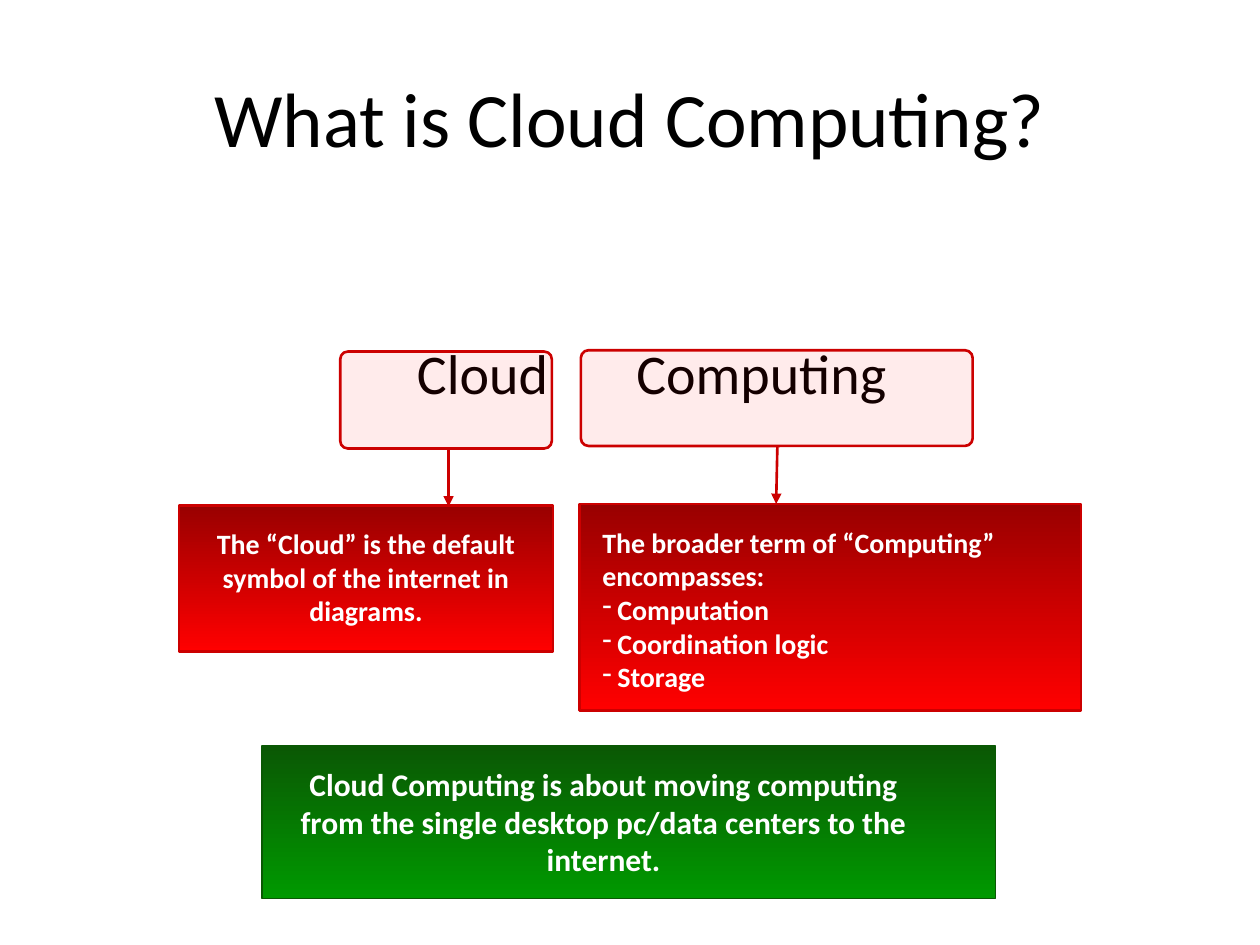
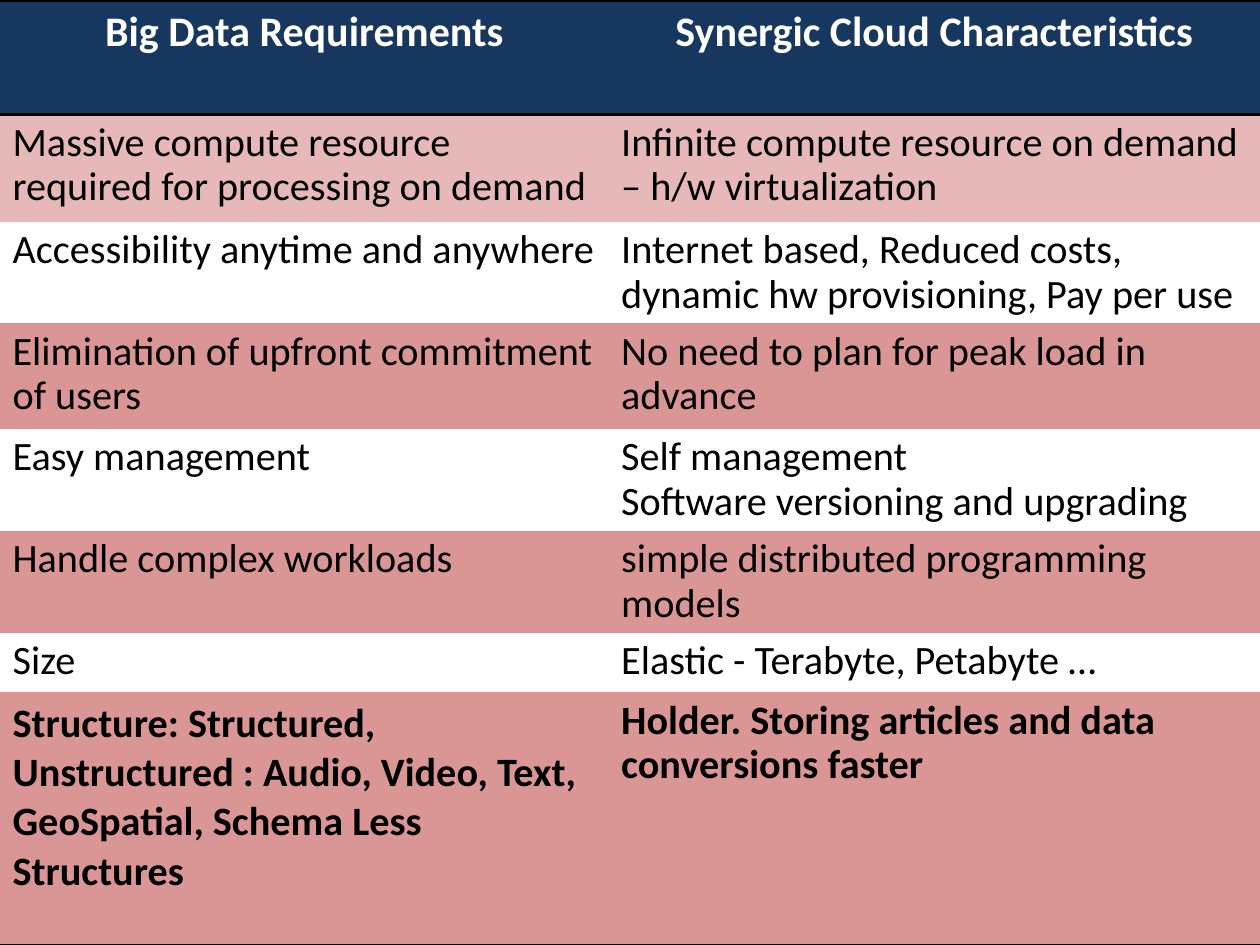
"""Build two slides on cloud computing and its fit with big data."""
from lxml.etree import SubElement
from pptx import Presentation
from pptx.dml.color import RGBColor
from pptx.enum.shapes import MSO_CONNECTOR as LINE, MSO_SHAPE as SHAPE
from pptx.enum.text import MSO_ANCHOR as ANCHOR, PP_ALIGN as ALIGN
from pptx.oxml.ns import qn
from pptx.util import Inches, Pt

COLORS = {
    "black": "000000", "white": "FFFFFF", "navy": "17375E",
    "pale": "E6B9B8", "rose": "D99694", "outline": "CC0000",
    "dark_red": "990000", "red": "FF0000",
    "dark_green": "0A5804", "green": "009900",
}
FONT = "Calibri"
TITLE = "What is Cloud Computing?"
TERMS = [
    {"word": "Cloud", "word_at": (3.31, 2.69, 1.3, 0.54),
     "frame": (2.7, 2.79, 1.68, 0.77), "arrow": (3.56, 3.55, 3.56, 4.02),
     "panel": (1.42, 4.01, 2.97, 1.16), "insets": (0.08, 0.17, 0.08, 0.17),
     "align": ALIGN.CENTER, "bullets": [],
     "lead": "The “Cloud” is the default symbol of the internet in diagrams."},
    {"word": "Computing", "word_at": (5.05, 2.69, 2.4, 0.54),
     "frame": (4.61, 2.78, 3.11, 0.76), "arrow": (6.17, 3.54, 6.16, 4),
     "panel": (4.6, 4, 3.98, 1.64), "insets": (0.18, 0.17, 0.18, 0.07),
     "align": ALIGN.LEFT,
     "bullets": ["Computation", "Coordination logic", "Storage"],
     "lead": "The broader term of “Computing” encompasses:"},
]
SUMMARY = ("Cloud Computing is about moving computing from the single desktop "
           "pc/data centers to the internet.")
COLUMN_WIDTHS = (4.83, 5.17)
ROWS = [
    (0.91, "navy", "Big Data Requirements", "Synergic Cloud Characteristics"),
    (0.85, "pale", "Massive compute resource required for processing on demand",
     "Infinite compute resource on demand – h/w virtualization"),
    (0.8, "white", "Accessibility anytime and anywhere",
     "Internet based, Reduced costs, dynamic hw provisioning, Pay per use"),
    (0.84, "rose", "Elimination of upfront commitment of users",
     "No need to plan for peak load in advance"),
    (0.81, "white", "Easy management",
     "Self management\nSoftware versioning and upgrading"),
    (0.81, "rose", "Handle complex workloads",
     "simple distributed programming models"),
    (0.47, "white", "Size", "Elastic - Terabyte, Petabyte …"),
    (2.01, "rose", "Structure: Structured, Unstructured : Audio, Video, Text, "
     "GeoSpatial, Schema Less Structures",
     "Holder. Storing articles and data conversions faster"),
]
NO_GRID = "{2D5ABB26-0587-4C30-8999-92F81FD0307C}"


def color(name):
    return RGBColor.from_string(COLORS[name])


def inches(values):
    return [Inches(value) for value in values]


def set_all(target, values):
    for name, value in values.items():
        setattr(target, name, value)


def style(paragraph, size, ink="black", bold=False, **layout):
    set_all(paragraph, layout)
    set_all(paragraph.font, {"name": FONT, "size": Pt(size), "bold": bold})
    paragraph.font.color.rgb = color(ink)


def set_frame(frame, insets, anchor):
    names = ("margin_left", "margin_top", "margin_right", "margin_bottom")
    set_all(frame, dict(zip(names, inches(insets))))
    set_all(frame, {"word_wrap": True, "vertical_anchor": anchor})


def add_label(slide, text, at, size, anchor, align=ALIGN.LEFT):
    frame = slide.shapes.add_textbox(*inches(at)).text_frame
    set_frame(frame, (0, 0, 0, 0), anchor)
    frame.text = text
    style(frame.paragraphs[0], size, alignment=align)


def outline(shape, name, width):
    shape.line.color.rgb = color(name)
    shape.line.width = Pt(width)


def add_panel(slide, at, shades, edge, width, insets, lead, size, align, bullets=()):
    panel = slide.shapes.add_shape(SHAPE.RECTANGLE, *inches(at))
    panel.shadow.inherit = False
    panel.fill.gradient()
    panel.fill.gradient_angle = 270
    for stop, shade in zip(panel.fill.gradient_stops, shades):
        stop.color.rgb = color(shade)
    outline(panel, edge, width)
    frame = panel.text_frame
    set_frame(frame, insets, ANCHOR.TOP)
    frame.text = "\n".join([lead, *bullets])
    for index, paragraph in enumerate(frame.paragraphs):
        if index:
            properties = paragraph._p.get_or_add_pPr()
            properties.set("marL", str(Inches(0.12)))
            properties.set("indent", str(-Inches(0.12)))
            SubElement(properties, qn("a:buChar"), char="-")
        style(paragraph, size, "white", True, alignment=align)


def add_frame(slide, at):
    frame = slide.shapes.add_shape(SHAPE.ROUNDED_RECTANGLE, *inches(at))
    frame.shadow.inherit = False
    frame.adjustments[0] = 0.08
    frame.fill.solid()
    frame.fill.fore_color.rgb = color("red")
    tint = frame.fill._xPr.find(qn("a:solidFill"))[0]
    SubElement(tint, qn("a:alpha"), val="8000")
    outline(frame, "outline", 1.5)


def add_arrow(slide, ends):
    arrow = slide.shapes.add_connector(LINE.STRAIGHT, *inches(ends))
    outline(arrow, "outline", 1.5)
    SubElement(arrow.line._get_or_add_ln(), qn("a:tailEnd"), type="triangle")
    SubElement(arrow._element.spPr, qn("a:effectLst"))


def add_rule(cell, side):
    rule = SubElement(cell._tc.get_or_add_tcPr(), qn(f"a:{side}"), w=str(Pt(2)))
    fill = SubElement(rule, qn("a:solidFill"))
    SubElement(fill, qn("a:srgbClr"), val=COLORS["black"])


def build_definition(slide):
    add_label(slide, TITLE, (0.5, 0.3, 9, 1.25), 44, ANCHOR.MIDDLE, ALIGN.CENTER)
    for term in TERMS:
        add_label(slide, term["word"], term["word_at"], 32, ANCHOR.TOP)
        add_panel(slide, term["panel"], ("dark_red", "red"), "outline", 1.5,
                  term["insets"], term["lead"], 16, term["align"], term["bullets"])
        add_frame(slide, term["frame"])
        add_arrow(slide, term["arrow"])
    add_panel(slide, (2.08, 5.92, 5.82, 1.21), ("dark_green", "green"), "dark_green",
              0.75, (0.2, 0.15, 0.6, 0.15), SUMMARY, 18, ALIGN.CENTER)


def build_comparison(slide):
    height = sum(row[0] for row in ROWS)
    table = slide.shapes.add_table(len(ROWS), len(COLUMN_WIDTHS),
                                   *inches((0, 0, sum(COLUMN_WIDTHS), height))).table
    table._tbl.tblPr.find(qn("a:tableStyleId")).text = NO_GRID
    for column, width in zip(table.columns, COLUMN_WIDTHS):
        column.width = Inches(width)
    last = len(ROWS) - 1
    for index, (row_height, shade, *texts) in enumerate(ROWS):
        table.rows[index].height = Inches(row_height)
        sides = {0: ("lnT", "lnB"), last: ("lnB",)}.get(index, ())
        for position, text in enumerate(texts):
            cell = table.cell(index, position)
            for side in sides:
                add_rule(cell, side)
            cell.fill.solid()
            cell.fill.fore_color.rgb = color(shade)
            cell.text = text
            for paragraph in cell.text_frame.paragraphs:
                if index == 0:
                    style(paragraph, 24, "white", True, alignment=ALIGN.CENTER)
                else:
                    loose = index == last and position == 0
                    style(paragraph, 23, bold=index == last,
                          line_spacing=1.0 if loose else 0.9)


def main():
    deck = Presentation()
    set_all(deck, {"slide_width": Inches(10), "slide_height": Inches(7.5)})
    for build in (build_definition, build_comparison):
        build(deck.slides.add_slide(deck.slide_layouts[6]))
    deck.save("out.pptx")


if __name__ == "__main__":
    main()
